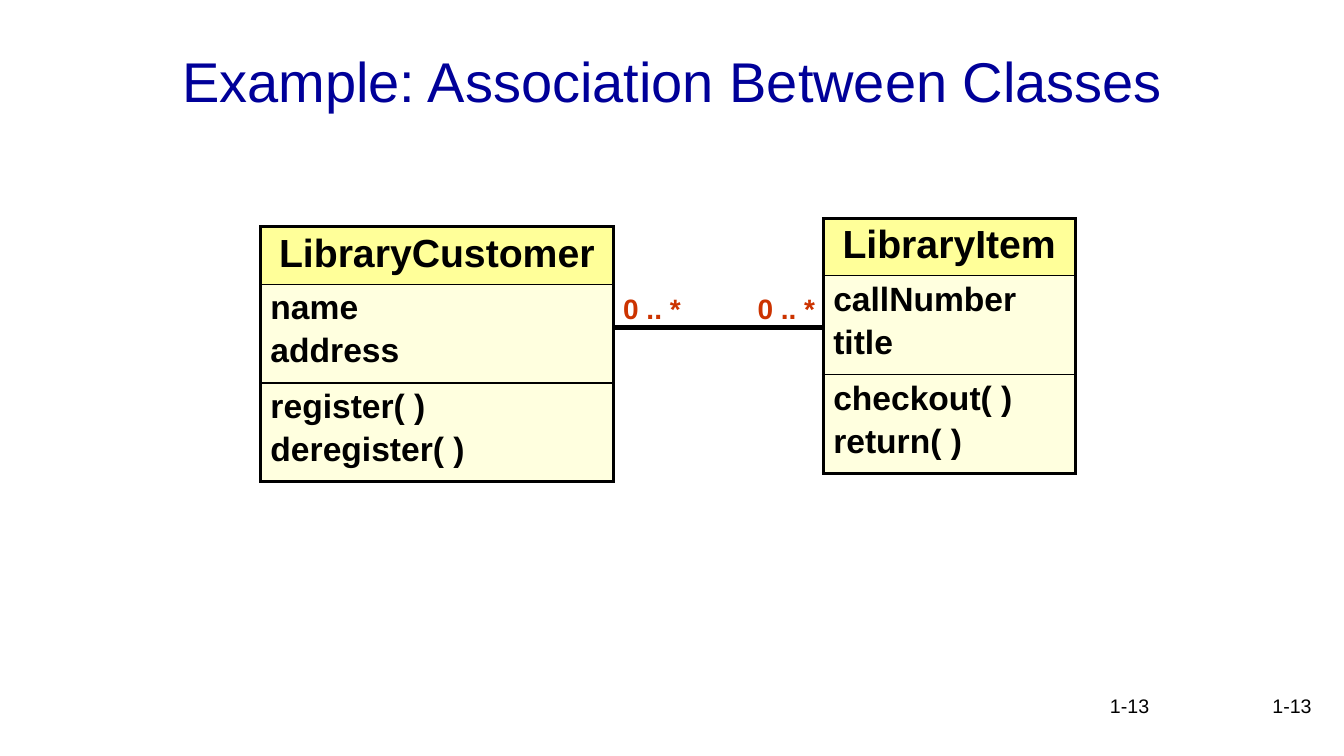
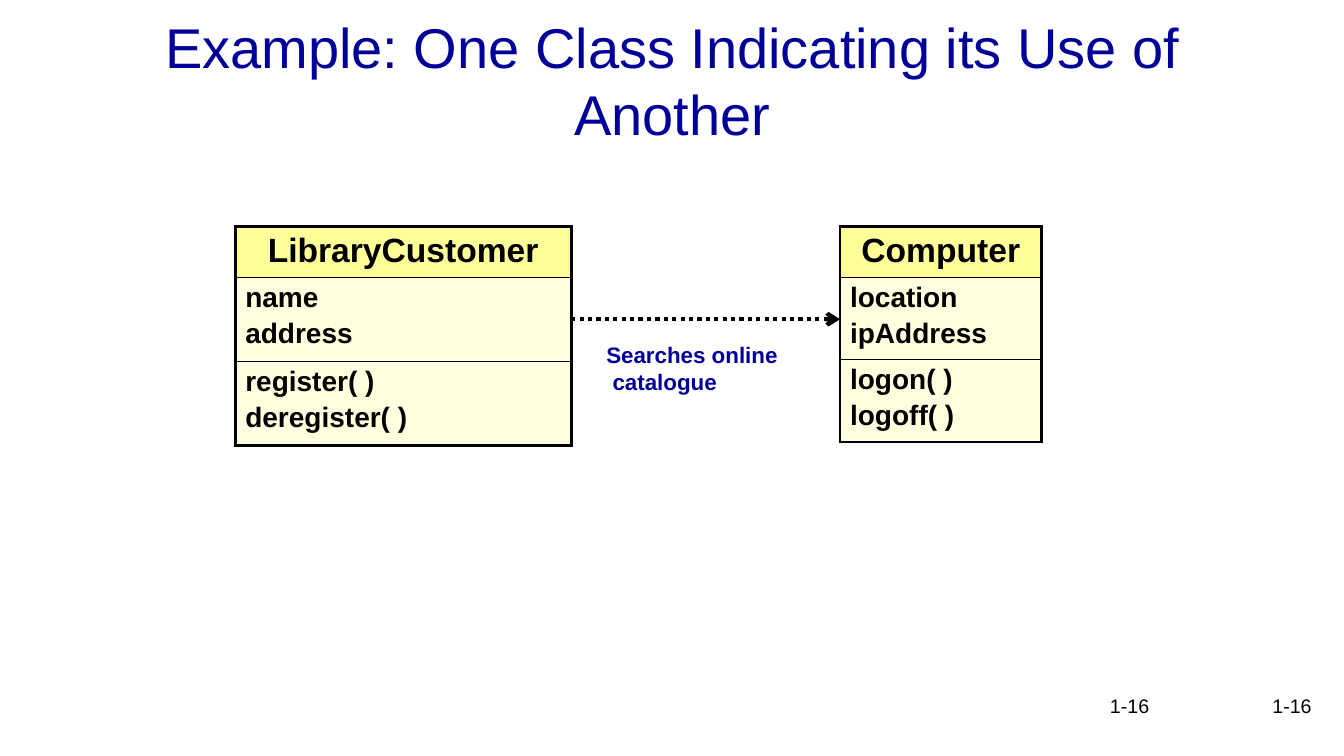
from lxml.etree import SubElement
from pptx import Presentation
from pptx.dml.color import RGBColor
from pptx.enum.dml import MSO_LINE
from pptx.enum.shapes import MSO_CONNECTOR
from pptx.enum.text import MSO_ANCHOR, PP_ALIGN
from pptx.oxml.ns import qn
from pptx.util import Pt

FONT = "Arial"
COLORS = {
    "ink": "000000",
    "title": "000099",
    "multiplicity": "CC3300",
    "name_fill": "FFFF99",
    "member_fill": "FFFFDF",
}
OUTER, INNER = 2.25, 1  # class box border widths
SPACE_BEFORE = 0.17     # paragraph spacing as a share of the text size

# Class box "at" is left, top, width; "rows" are name, attributes, operations.
SLIDES = [
    {
        "title": "Example: Association Between Classes",
        "page": "1-13",
        "sizes": (28, 24),
        "classes": [
            {"at": (186, 162, 252), "rows": (41, 70.6, 70.6),
             "parts": (["LibraryCustomer"], ["name", "address"],
                       ["register( )", "deregister( )"])},
            {"at": (588, 156, 180), "rows": (41, 70.6, 70.6),
             "parts": (["LibraryItem"], ["callNumber", "title"],
                       ["checkout( )", "return( )"])},
        ],
        "link": {"y": 234, "dependency": False},
        "labels": [
            {"lines": ["0 .. *"], "at": (438, 205, 60, 31), "size": 20,
             "color": "multiplicity"},
            {"lines": ["0 .. *"], "at": (534, 205, 60, 31), "size": 20,
             "color": "multiplicity"},
        ],
    },
    {
        "title": "Example: One Class Indicating its Use of Another",
        "page": "1-16",
        "sizes": (24, 20),
        "classes": [
            {"at": (168, 162, 240), "rows": (36, 60, 60),
             "parts": (["LibraryCustomer"], ["name", "address"],
                       ["register( )", "deregister( )"])},
            {"at": (600, 162, 144), "rows": (34.8, 56, 59),
             "parts": (["Computer"], ["location", "ipAddress"],
                       ["logon( )", "logoff( )"])},
        ],
        "link": {"y": 228, "dependency": True},
        "labels": [
            {"lines": ["Searches online", "catalogue"],
             "at": (426, 240, 150, 46), "size": 16, "color": "title",
             "last_indent": 4.5},
        ],
    },
]
TITLE_AT = (72, 12, 816, 90)
PAGE_NUMBERS_AT = [(744, 492, 200, 36), (678, 492, 150, 36)]


def rgb(name):
    return RGBColor.from_string(COLORS[name])


def write(frame, lines, size, color="ink", bold=False, align=PP_ALIGN.LEFT, spacing=0):
    frame.text = "\n".join(lines)
    for paragraph in frame.paragraphs:
        paragraph.alignment = align
        paragraph.space_before = Pt(round(size * spacing, 1))
        for run in paragraph.runs:
            run.font.name = FONT
            run.font.size = Pt(size)
            run.font.bold = bold
            run.font.color.rgb = rgb(color)


def add_text(slide, at, lines, size, **style):
    frame = slide.shapes.add_textbox(*map(Pt, at)).text_frame
    frame.word_wrap = True
    write(frame, lines, size, **style)
    return frame


def set_borders(cell, widths):
    properties = cell._tc.get_or_add_tcPr()
    for side, width in widths.items():
        line = SubElement(properties, qn(f"a:ln{side}"), w=str(Pt(width)))
        fill = SubElement(line, qn("a:solidFill"))
        SubElement(fill, qn("a:srgbClr"), val=COLORS["ink"])


def add_class(slide, uml_class, sizes):
    left, top, width = uml_class["at"]
    heights = uml_class["rows"]
    table = slide.shapes.add_table(
        len(heights), 1, Pt(left), Pt(top), Pt(width), Pt(sum(heights))).table
    table.first_row = table.horz_banding = False
    last = len(heights) - 1
    for i, (height, lines) in enumerate(zip(heights, uml_class["parts"])):
        is_name = i == 0
        table.rows[i].height = Pt(height)
        cell = table.cell(i, 0)
        set_borders(cell, {"L": OUTER, "R": OUTER,
                           "T": OUTER if is_name else INNER,
                           "B": OUTER if i == last else INNER})
        cell.fill.solid()
        cell.fill.fore_color.rgb = rgb("name_fill" if is_name else "member_fill")
        write(cell.text_frame, lines, sizes[0] if is_name else sizes[1], bold=True,
              align=PP_ALIGN.CENTER if is_name else PP_ALIGN.LEFT,
              spacing=SPACE_BEFORE)


def add_link(slide, source, target, y, dependency):
    """Join two class boxes; a dependency is dotted with an open arrowhead."""
    start = source["at"][0] + source["at"][2]
    link = slide.shapes.add_connector(
        MSO_CONNECTOR.STRAIGHT, Pt(start), Pt(y), Pt(target["at"][0]), Pt(y))
    link.line.color.rgb = rgb("ink")
    link.line.width = Pt(3)
    if dependency:
        link.line.dash_style = MSO_LINE.ROUND_DOT
        SubElement(link.line._get_or_add_ln(), qn("a:tailEnd"), type="arrow")
    SubElement(link._element.spPr, qn("a:effectLst"))


def add_label(slide, label):
    frame = add_text(slide, label["at"], label["lines"], label["size"],
                     color=label["color"], bold=True)
    if "last_indent" in label:
        properties = frame.paragraphs[-1]._p.get_or_add_pPr()
        properties.set("marL", str(Pt(label["last_indent"])))


def build_slide(deck, content):
    slide = deck.slides.add_slide(deck.slide_layouts[6])
    for at in PAGE_NUMBERS_AT:
        add_text(slide, at, [content["page"]], 14, align=PP_ALIGN.RIGHT)
    title = add_text(slide, TITLE_AT, [content["title"]], 40, color="title",
                     align=PP_ALIGN.CENTER)
    title.vertical_anchor = MSO_ANCHOR.MIDDLE
    for uml_class in content["classes"]:
        add_class(slide, uml_class, content["sizes"])
    add_link(slide, *content["classes"], **content["link"])
    for label in content["labels"]:
        add_label(slide, label)


def main():
    deck = Presentation()
    deck.slide_width, deck.slide_height = Pt(960), Pt(540)
    for content in SLIDES:
        build_slide(deck, content)
    deck.save("out.pptx")


if __name__ == "__main__":
    main()
